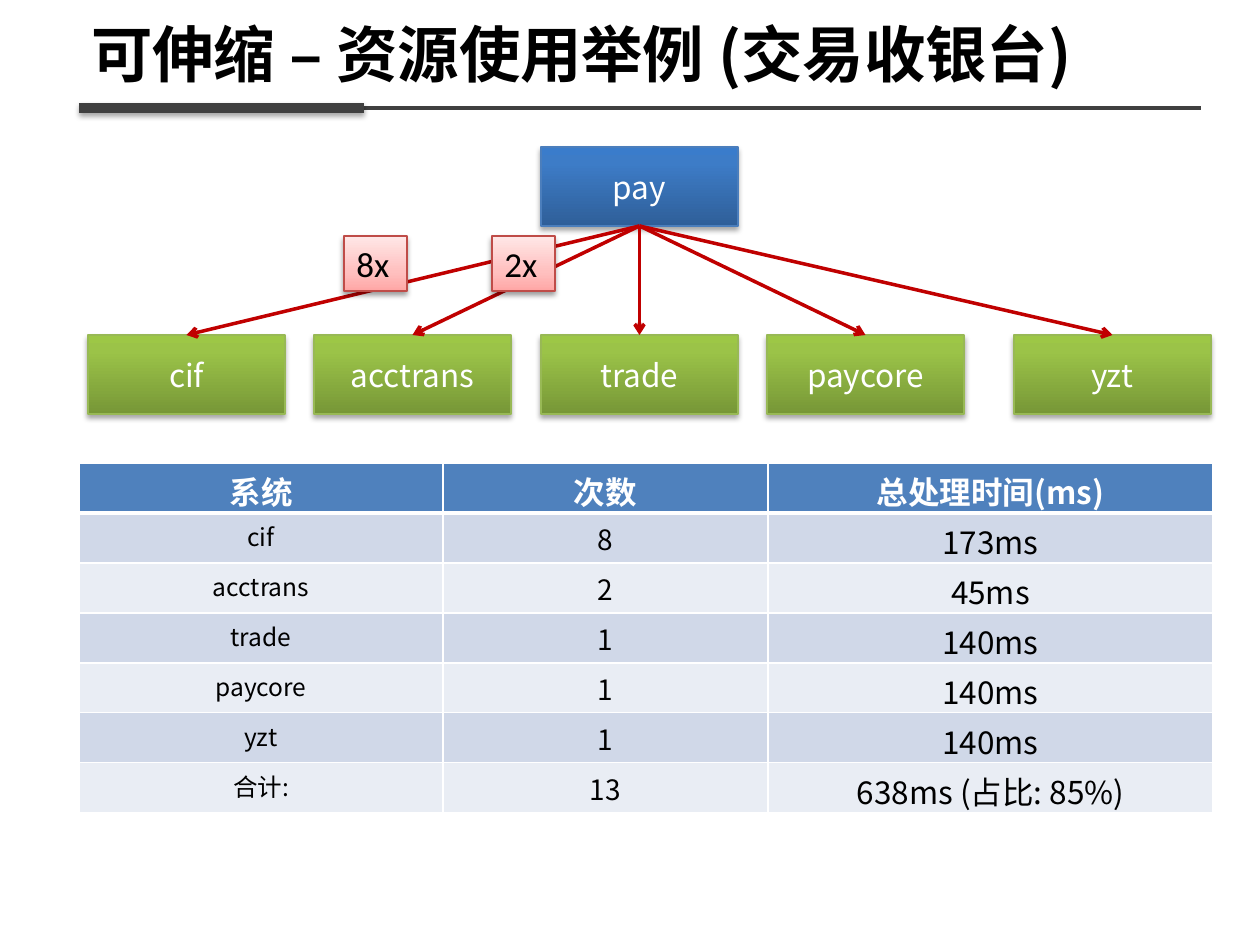
import copy
import dataclasses

import lxml.etree
import pptx
import pptx.dml.color
import pptx.enum.dml
import pptx.enum.shapes
import pptx.enum.text
import pptx.oxml
import pptx.oxml.ns
import pptx.util

qn = pptx.oxml.ns.qn
PX = 914400 / 126
CENTER = pptx.enum.text.PP_ALIGN.CENTER
MIDDLE = pptx.enum.text.MSO_ANCHOR.MIDDLE
TOP = pptx.enum.text.MSO_ANCHOR.TOP


@dataclasses.dataclass(frozen=True)
class Theme:
    font: str = "Noto Sans CJK SC"
    tag_font: str = "Calibri"
    black: str = "000000"
    white: str = "FFFFFF"
    rule: str = "404040"
    arrow: str = "C00000"
    header: str = "4F81BD"
    bands: tuple = ("D0D8E8", "E9EDF4")
    # Outline colour, then gradient stops from bottom to top
    blue: tuple = ("4B7EBC", ((0, "2F5F99"), (80, "3D7CC7"), (100, "3A7CCB")))
    green: tuple = ("98B955", ((0, "779737"), (80, "9BC348"), (100, "9DC746")))
    pink: tuple = ("BF4C48", ((0, "FFA6A5"), (35, "FFC0BF"), (100, "FFE7E7")))
    title_size: float = 35.1
    node_size: int = 18
    tag_size: int = 20
    column_sizes: tuple = (14, 16, 18)


THEME = Theme()


def px(length):
    return pptx.util.Emu(round(length * PX))


def rgb(color):
    return pptx.dml.color.RGBColor.from_string(color)


def set_formats(target, formats):
    for attribute, value in formats.items():
        setattr(target, attribute, value)


def write(frame, text, size, color, font=THEME.font, bold=False, align=None):
    paragraph = frame.paragraphs[0]
    paragraph.alignment = align
    run = paragraph.add_run()
    run.text = text
    set_formats(run.font, {"name": font, "size": pptx.util.Pt(size), "bold": bold})
    run.font.color.rgb = rgb(color)
    east_asian = lxml.etree.SubElement(run.font._element, qn("a:ea"))
    east_asian.set("typeface", font)
    return paragraph


def set_effects(item, shadowed, alpha=35):
    """Replace the theme's shadow by a soft one below, or by none."""
    properties = item._element.spPr
    for old in properties.findall(qn("a:effectLst")):
        properties.remove(old)
    effects = lxml.etree.SubElement(properties, qn("a:effectLst"))
    if shadowed:
        shadow = lxml.etree.SubElement(effects, qn("a:outerShdw"), {
            "blurRad": str(pptx.util.Pt(3.1)), "dist": str(pptx.util.Pt(1.8)),
            "dir": "5400000", "rotWithShape": "0"})
        color = lxml.etree.SubElement(shadow, qn("a:srgbClr"), val=THEME.black)
        lxml.etree.SubElement(color, qn("a:alpha"), val=str(alpha * 1000))


def add_line(slide, start, end, color, width, shadowed=False):
    line = slide.shapes.add_connector(
        pptx.enum.shapes.MSO_CONNECTOR.STRAIGHT, *map(px, (*start, *end)))
    line.line.color.rgb = rgb(color)
    line.line.width = pptx.util.Pt(width)
    set_effects(line, shadowed)
    return line


def add_glossy_box(slide, box, colors, alpha=35):
    outline, stops = colors
    shape = slide.shapes.add_shape(
        pptx.enum.shapes.MSO_SHAPE.RECTANGLE, *map(px, box))
    shape.fill.gradient()
    shape.fill.gradient_angle = 90
    stop_list = shape._element.spPr.find(qn("a:gradFill")).find(qn("a:gsLst"))
    for old in list(stop_list):
        stop_list.remove(old)
    for position, color in stops:
        stop = lxml.etree.SubElement(stop_list, qn("a:gs"), pos=str(position * 1000))
        lxml.etree.SubElement(stop, qn("a:srgbClr"), val=color)
    shape.line.color.rgb = rgb(outline)
    shape.line.width = pptx.util.Pt(0.75)
    set_effects(shape, True, alpha)
    return shape


def add_heading(slide, box, text):
    left, top, width, height = box
    title = slide.shapes.add_textbox(*map(px, (left, top, width, 81))).text_frame
    set_formats(title, {"word_wrap": True, "vertical_anchor": MIDDLE})
    write(title, text, THEME.title_size, THEME.black, bold=True).line_spacing = 0.9
    rule_y = top + height
    for length, weight, shadowed in ((1122, 2.25, False), (285, 6, True)):
        add_line(slide, (left, rule_y), (left + length, rule_y),
                 THEME.rule, weight, shadowed)


def add_call_tree(slide, box, caller, services, tags):
    """Place services by left offset under the caller, with call counts on arrows."""
    left, top, _, height = box
    node_width, node_height = 197, 79

    def add_node(x, y, label, colors):
        node = add_glossy_box(
            slide, (left + x, top + y, node_width, node_height), colors)
        node.text_frame.vertical_anchor = MIDDLE
        write(node.text_frame, label, THEME.node_size, THEME.white, align=CENTER)
        return node

    caller_node = add_node(*caller, THEME.blue)
    service_nodes = [add_node(x, height - node_height, label, THEME.green)
                     for x, label in services]
    for node in service_nodes:
        arrow = add_line(slide, (0, 0), (1, 1), THEME.arrow, 2)
        arrow.begin_connect(caller_node, 2)
        arrow.end_connect(node, 0)
        lxml.etree.SubElement(arrow.line._get_or_add_ln(), qn("a:tailEnd"), type="arrow")
    for x, label in tags:
        tag = add_glossy_box(slide, (left + x, top + 89, 63, 55), THEME.pink, 38)
        set_formats(tag.text_frame, {
            "word_wrap": False, "vertical_anchor": TOP,
            "auto_size": pptx.enum.text.MSO_AUTO_SIZE.SHAPE_TO_FIT_TEXT})
        write(tag.text_frame, label, THEME.tag_size, THEME.black, THEME.tag_font,
              align=pptx.enum.text.PP_ALIGN.LEFT)


def set_borders(cell, widths):
    properties = cell._tc.get_or_add_tcPr()
    for index, (side, width) in enumerate(widths.items()):
        border = lxml.etree.Element(qn(f"a:ln{side}"), w=str(pptx.util.Pt(width)))
        fill = lxml.etree.SubElement(border, qn("a:solidFill"))
        lxml.etree.SubElement(fill, qn("a:srgbClr"), val=THEME.white)
        properties.insert(index, border)


def add_timing_table(slide, box, column_widths, rows):
    table = slide.shapes.add_table(
        len(rows), len(column_widths), *map(px, box)).table
    table.horz_banding = False
    for column, width in zip(table.columns, column_widths):
        column.width = px(width)
    for row_index, row in enumerate(rows):
        is_header = row_index == 0
        table.rows[row_index].height = px(box[3] // len(rows))
        fill = THEME.header if is_header else THEME.bands[(row_index - 1) % 2]
        borders = {"L": 1, "R": 1, "T": 3 if row_index == 1 else 1,
                   "B": 3 if is_header else 1}
        for column_index, text in enumerate(row):
            cell = table.cell(row_index, column_index)
            set_formats(cell, {"margin_top": px(5), "margin_bottom": 0,
                               "vertical_anchor": TOP})
            cell.fill.solid()
            cell.fill.fore_color.rgb = rgb(fill)
            set_borders(cell, borders)
            size = THEME.node_size if is_header else THEME.column_sizes[column_index]
            write(cell.text_frame, text, size,
                  THEME.white if is_header else THEME.black,
                  bold=is_header, align=CENTER)


def main():
    deck = pptx.Presentation()
    set_formats(deck, {"slide_width": px(1260), "slide_height": px(945)})
    slide = deck.slides.add_slide(deck.slide_layouts[6])
    add_heading(slide, (79, 17, 1119, 91), "可伸缩 – 资源使用举例 (交易收银台)")
    add_call_tree(
        slide, (88, 147, 1123, 267), (453, 0, "pay"),
        ((0, "cif"), (226, "acctrans"), (453, "trade"),
         (679, "paycore"), (926, "yzt")),
        ((256, "8x"), (404, "2x")))
    add_timing_table(
        slide, (79, 463, 1134, 353), (364, 325, 445),
        (("系统", "次数", "总处理时间(ms)"),
         ("cif", "8", "173ms"),
         ("acctrans", "2", "45ms"),
         ("trade", "1", "140ms"),
         ("paycore", "1", "140ms"),
         ("yzt", "1", "140ms"),
         ("合计:", "13", "638ms (占比: 85%)")))
    deck.save("out.pptx")


if __name__ == "__main__":
    main()
